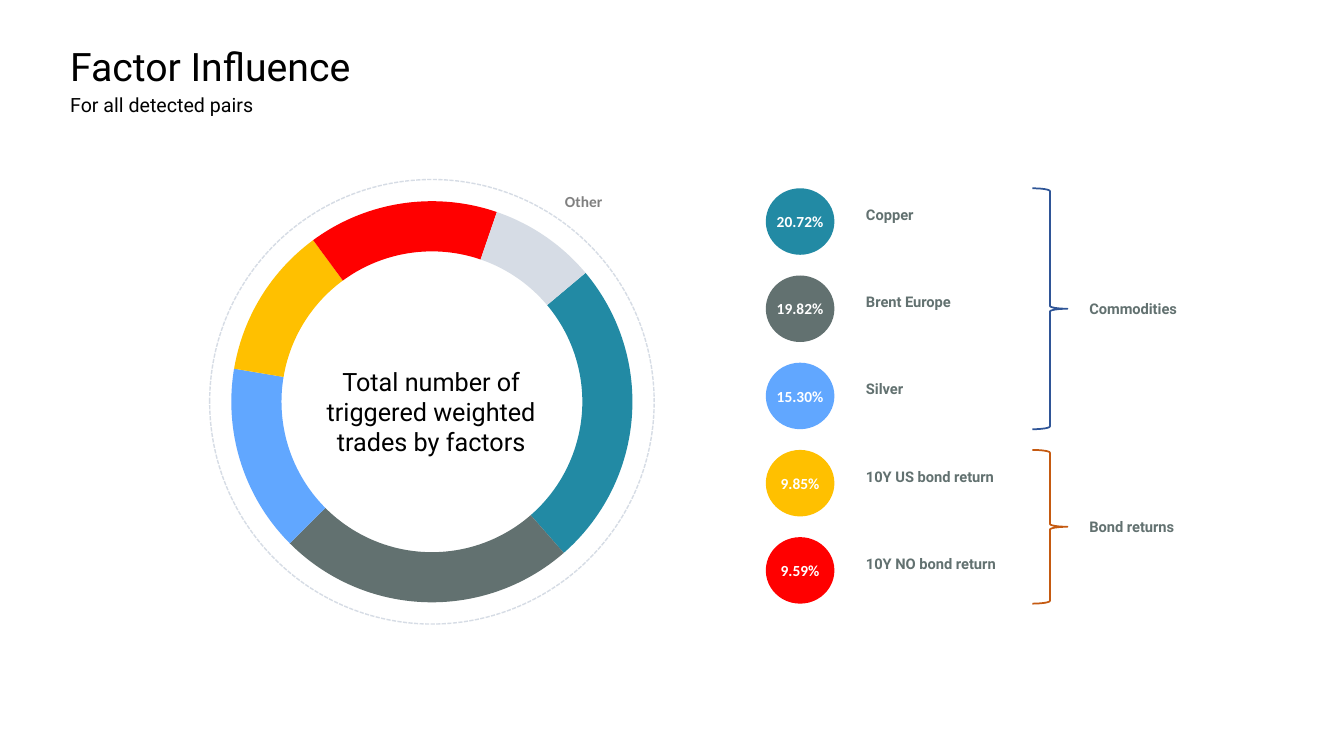
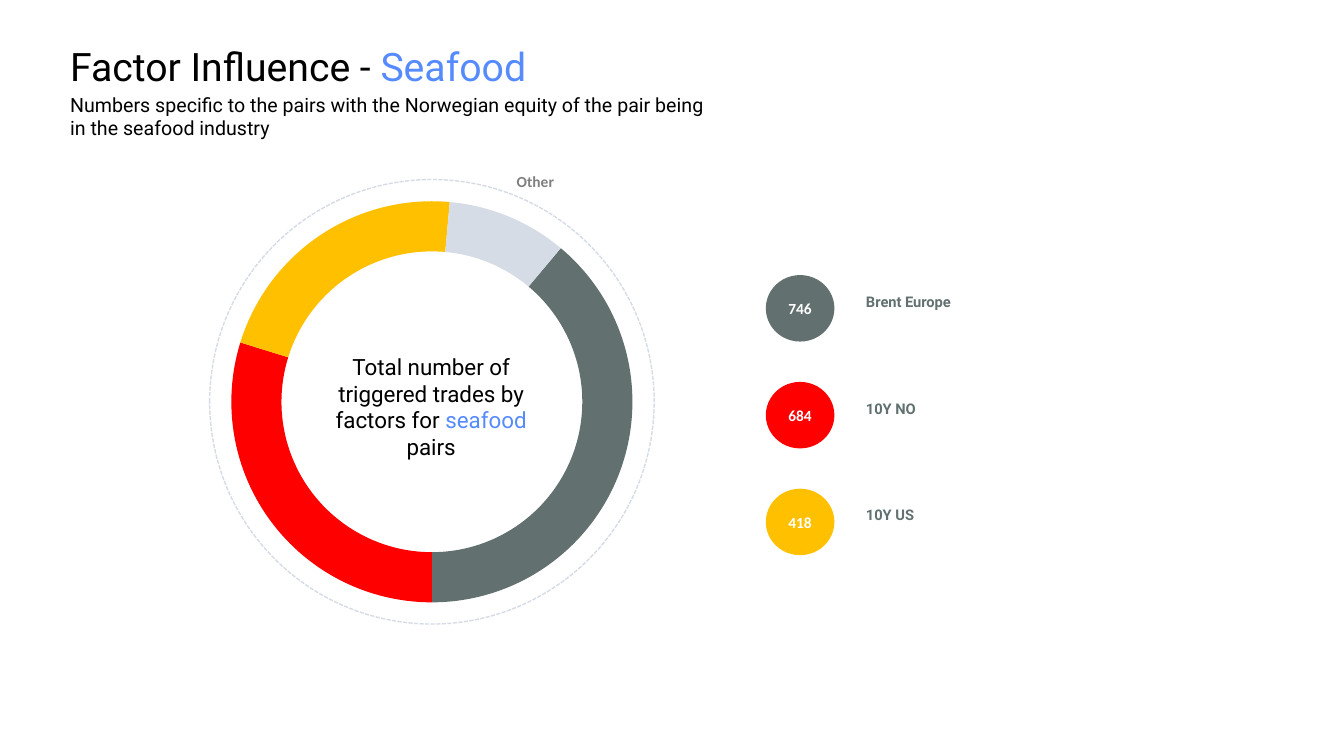
from dataclasses import dataclass
from itertools import pairwise

from pptx import Presentation
from pptx.dml.color import RGBColor
from pptx.enum.dml import MSO_LINE_DASH_STYLE as Dash
from pptx.enum.shapes import MSO_SHAPE as Shape
from pptx.enum.text import MSO_ANCHOR as Anchor, MSO_AUTO_SIZE as AutoSize, PP_ALIGN as Align
from pptx.util import Pt


@dataclass(frozen=True)
class Theme:
    # Colours
    ink: str = "000000"
    accent: str = "568BFF"
    white: str = "FFFFFF"
    slate: str = "627170"
    teal: str = "228AA4"
    blue: str = "61A7FF"
    amber: str = "FFC000"
    red: str = "FF0000"
    pale: str = "D6DCE5"
    muted: str = "808080"
    navy: str = "2F5597"
    rust: str = "C55A11"
    # Fonts and type sizes
    body_font: str = "Roboto"
    number_font: str = "Calibri"
    title_size: float = 28
    subtitle_size: float = 14
    label_size: float = 10.5
    number_size: float = 11


THEME = Theme()

# Ring geometry, in points
CENTER_X, CENTER_Y = 308.5, 287
RING, ORBIT = 286.5, 317.5
BAND = 0.125

# Legend geometry, in points
DOT_LEFT, DOT_WIDTH, DOT_HEIGHT = 547, 49, 47.5
LABEL_LEFT, LABEL_WIDTH, LABEL_HEIGHT = 611.5, 120, 20.5
BRACE_LEFT, BRACE_WIDTH, GROUP_LEFT = 737.5, 25, 771


def box(left, top, width, height):
    return Pt(left), Pt(top), Pt(width), Pt(height)


def write(frame, runs, size, font=THEME.body_font, bold=False, align=Align.LEFT):
    """Fill the frame with one paragraph of (text, colour) runs."""
    paragraph = frame.paragraphs[0]
    paragraph.alignment = align
    for text, color in runs:
        run = paragraph.add_run()
        run.text = text
        run.font.name = font
        run.font.size = Pt(size)
        run.font.bold = bold
        run.font.color.rgb = RGBColor.from_string(color)


def add_text(shapes, place, runs, size, wrap=True, **style):
    frame = shapes.add_textbox(*box(*place)).text_frame
    frame.word_wrap = wrap
    frame.auto_size = AutoSize.SHAPE_TO_FIT_TEXT
    write(frame, runs, size, **style)


def add_figure(shapes, kind, place, fill=None, line=None, weight=1):
    figure = shapes.add_shape(kind, *box(*place))
    figure.shadow.inherit = False
    if fill:
        figure.fill.solid()
        figure.fill.fore_color.rgb = RGBColor.from_string(fill)
    else:
        figure.fill.background()
    if line:
        figure.line.color.rgb = RGBColor.from_string(line)
        figure.line.width = Pt(weight)
    else:
        figure.line.fill.background()
    return figure


def add_heading(shapes, title, subtitle):
    add_text(shapes, (43, 26.5, 522, 41), title, THEME.title_size)
    add_text(shapes, (43, 62.5, 469.5, 24.5), [(subtitle, THEME.ink)], THEME.subtitle_size)


def centered(diameter):
    return CENTER_X - diameter / 2, CENTER_Y - diameter / 2, diameter, diameter


def add_ring(shapes, colors, bounds):
    """Draw one arc per colour; bounds are degrees clockwise from three o'clock."""
    orbit = add_figure(shapes, Shape.OVAL, centered(ORBIT), line=THEME.pale)
    orbit.line.dash_style = Dash.SQUARE_DOT
    for color, (start, end) in zip(colors, pairwise(bounds)):
        arc = add_figure(shapes, Shape.BLOCK_ARC, centered(RING), color)
        # Angles are stored in 60000ths of a degree, adjustments in 100000ths
        arc.adjustments[0] = start * 0.6
        arc.adjustments[1] = end * 0.6
        arc.adjustments[2] = BAND


def add_caption(shapes, top, height, runs, size):
    add_text(shapes, (223, top, 170, height), runs, size, align=Align.CENTER)


def add_other(shapes, left, top):
    add_text(shapes, (left, top, 42, 20.5), [("Other", THEME.muted)], THEME.number_size,
             wrap=False, font=THEME.number_font, bold=True)


def add_label(shapes, left, top, text):
    add_text(shapes, (left, top, LABEL_WIDTH, LABEL_HEIGHT), [(text, THEME.slate)],
             THEME.label_size, bold=True)


def add_legend(shapes, top, pitch, factors):
    """One grouped row per factor: a dot holding the value, and the name."""
    for row, (value, name, color) in enumerate(factors):
        row_top = top + row * pitch
        entry = shapes.add_group_shape().shapes
        dot = add_figure(entry, Shape.OVAL, (DOT_LEFT, row_top, DOT_WIDTH, DOT_HEIGHT), color)
        frame = dot.text_frame
        frame.word_wrap = False
        frame.vertical_anchor = Anchor.MIDDLE
        write(frame, [(value, THEME.white)], THEME.number_size,
              font=THEME.number_font, bold=True, align=Align.CENTER)
        add_label(entry, LABEL_LEFT, row_top + 9, name)


def add_brace(shapes, top, bottom, color, name):
    brace = add_figure(shapes, Shape.RIGHT_BRACE, (BRACE_LEFT, top, BRACE_WIDTH, bottom - top),
                       THEME.white, color, 1.25)
    brace.adjustments[0] = 0.08
    brace.adjustments[1] = 0.5
    add_label(shapes, GROUP_LEFT, (top + bottom - LABEL_HEIGHT) / 2 + 0.5, name)


def build_all_pairs(shapes):
    add_ring(shapes,
             [THEME.teal, THEME.slate, THEME.blue, THEME.amber, THEME.red, THEME.pale],
             [320, 48.9, 135.1, 189.5, 233.7, 288.9, 320])
    add_caption(shapes, 258, 72.5,
                [("Total number of triggered weighted trades by factors", THEME.ink)], 18)
    add_other(shapes, 396.5, 134)

    top, pitch = 134.5, 62.3
    add_legend(shapes, top, pitch, [
        ("20.72%", "Copper", THEME.teal),
        ("19.82%", "Brent Europe", THEME.slate),
        ("15.30%", "Silver", THEME.blue),
        ("9.85%", "10Y US bond return", THEME.amber),
        ("9.59%", "10Y NO bond return", THEME.red),
    ])
    # Braces span the first to the last row of each factor group
    for first, last, color, name in [(0, 2, THEME.navy, "Commodities"),
                                     (3, 4, THEME.rust, "Bond returns")]:
        add_brace(shapes, top + first * pitch, top + last * pitch + DOT_HEIGHT, color, name)

    add_heading(shapes, [("Factor Influence", THEME.ink)], "For all detected pairs")


def build_seafood(shapes):
    add_ring(shapes,
             [THEME.slate, THEME.red, THEME.amber, THEME.pale],
             [310, 90, 197.2, 275.1, 310])
    add_other(shapes, 362, 119.5)
    add_caption(shapes, 248.5, 85, [
        ("Total number of triggered trades by factors for ", THEME.ink),
        ("seafood", THEME.accent),
        (" pairs", THEME.ink),
    ], 16)
    add_legend(shapes, 196.5, 76.3, [
        ("746", "Brent Europe", THEME.slate),
        ("684", "10Y NO", THEME.red),
        ("418", "10Y US", THEME.amber),
    ])
    add_heading(shapes, [("Factor Influence - ", THEME.ink), ("Seafood", THEME.accent)],
                "Numbers specific to the pairs with the Norwegian equity of the pair being "
                "in the seafood industry")


def main():
    deck = Presentation()
    deck.slide_width, deck.slide_height = Pt(960), Pt(540)
    blank = deck.slide_layouts[6]
    for build in (build_all_pairs, build_seafood):
        build(deck.slides.add_slide(blank).shapes)
    deck.save("out.pptx")


if __name__ == "__main__":
    main()
